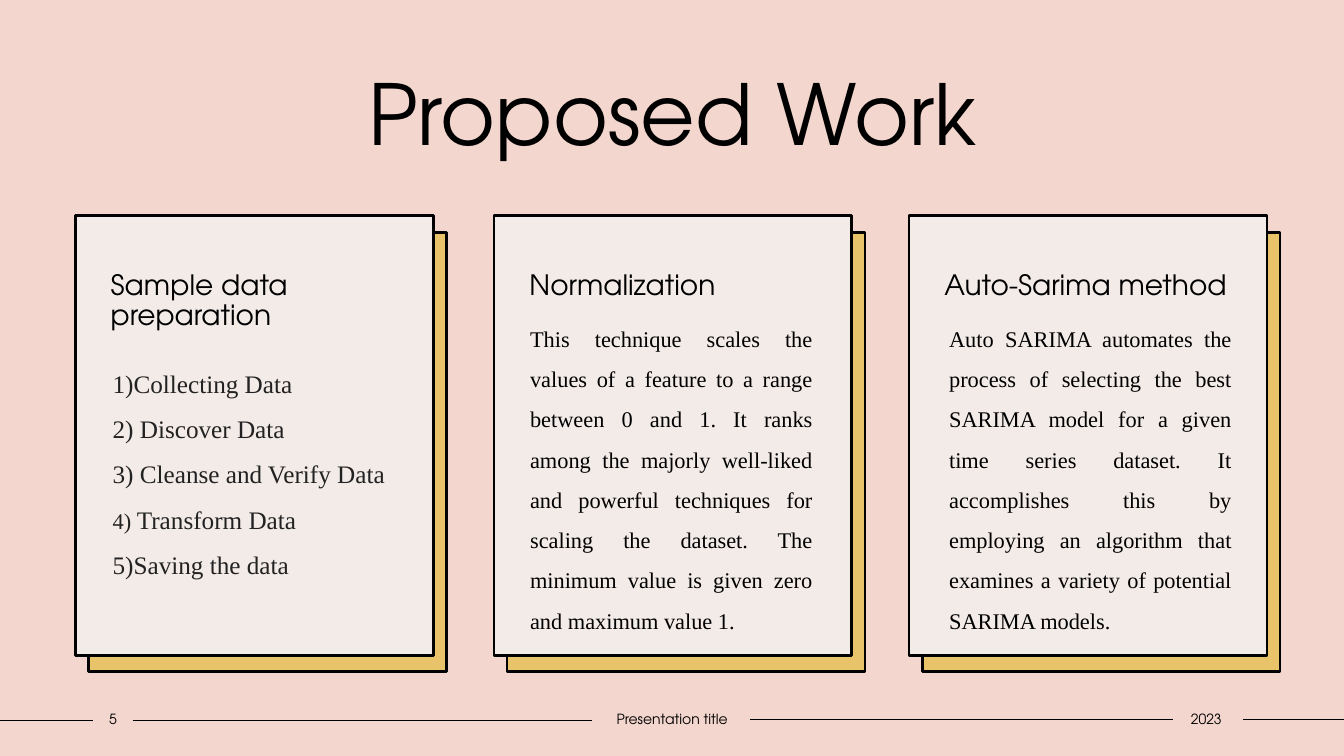
import pptx
import pptx.util
import pptx.dml.color
import pptx.enum.shapes
import pptx.enum.text
import pptx.oxml.ns
import lxml.etree

Cm, Pt = pptx.util.Cm, pptx.util.Pt
ALIGN = pptx.enum.text.PP_ALIGN
ANCHOR = pptx.enum.text.MSO_ANCHOR
SANS, SERIF = "TeX Gyre Adventor", "Times New Roman"
BLACK, INK = "000000", "222222"
PINK, CREAM, GOLD = "F3D6CD", "F3EBE8", "E9C369"
CARD_W, CARD_H = 9.02, 11.07
BODY_W, BODY_H = 7.62, 7.75

STEPS = [
    [("1)Collecting Data", 18)],
    [("2) Discover Data", 18)],
    [("3) Cleanse and Verify Data", 18), "break",
     ("4) ", 16), ("Transform Data", 18)],
    [("5)Saving the data", 18)],
]
NORMALIZATION = [[(
    "This technique scales the values of a feature to a range between 0 and 1. "
    "It ranks among the majorly well-liked and powerful techniques for scaling "
    "the dataset. The minimum value is given zero and maximum value 1. ", 16)]]
SARIMA = [[(
    "Auto SARIMA automates the process of selecting the best SARIMA model for a "
    "given time series dataset. It accomplishes this by employing an algorithm "
    "that examines a variety of potential SARIMA models.", 16)]]


def rgb(color):
    return pptx.dml.color.RGBColor.from_string(color)


def write(sp, paragraphs, font=SANS, color=BLACK, align=ALIGN.LEFT,
          anchor=ANCHOR.TOP, inset=(0.25, 0.13, 0.25, 0.13),
          spacing=1.0, before=0):
    tf = sp.text_frame
    tf.word_wrap = True
    tf.vertical_anchor = anchor
    tf.margin_left, tf.margin_top, tf.margin_right, tf.margin_bottom = map(Cm, inset)
    for i, parts in enumerate(paragraphs):
        p = tf.add_paragraph() if i else tf.paragraphs[0]
        p.alignment = align
        p.line_spacing = spacing
        p.space_before = Pt(before)
        for part in parts:
            if part == "break":
                p.add_line_break()
                continue
            r = p.add_run()
            r.text, size = part
            r.font.name = font
            r.font.size = Pt(size)
            r.font.color.rgb = rgb(color)


def add_text(s, x, y, w, h, paragraphs, **fmt):
    sp = s.shapes.add_textbox(Cm(x), Cm(y), Cm(w), Cm(h))
    write(sp, paragraphs, **fmt)


def add_panel(s, x, y, fill):
    sp = s.shapes.add_shape(pptx.enum.shapes.MSO_SHAPE.RECTANGLE,
                            Cm(x), Cm(y), Cm(CARD_W), Cm(CARD_H))
    sp.shadow.inherit = False
    sp.fill.solid()
    sp.fill.fore_color.rgb = rgb(fill)
    sp.line.color.rgb = rgb(BLACK)
    sp.line.width = Pt(2)
    return sp


def add_rule(s, x1, x2, y):
    line = s.shapes.add_connector(pptx.enum.shapes.MSO_CONNECTOR.STRAIGHT,
                                  Cm(x1), Cm(y), Cm(x2), Cm(y))
    line.line.color.rgb = rgb(BLACK)
    line.line.width = Pt(1)
    lxml.etree.SubElement(line._element.spPr, pptx.oxml.ns.qn("a:effectLst"))


def add_title(s, x, y, w, h):
    add_text(s, x, y, w, h, [[("Proposed Work", 60)]],
             align=ALIGN.CENTER, anchor=ANCHOR.MIDDLE)


def add_card(s, x, y, heading, body, dx, dy, **fmt):
    add_panel(s, x + 0.33, y + 0.41, GOLD)
    write(add_panel(s, x, y, CREAM), [[(heading, 20)]],
          inset=(0.89, 1.4, 0.25, 0.13), spacing=0.9, before=10)
    add_text(s, x + dx, y + dy, BODY_W, BODY_H, body,
             font=SERIF, spacing=1.5, **fmt)


def add_footer(s, y, h):
    for x1, x2, drop in [(0, 2.34, 0.38), (3.35, 14.91, 0.38),
                         (18.9, 29.57, 0.35), (31.32, 33.87, 0.35)]:
        add_rule(s, x1, x2, y + drop)
    for x, w, label in [(2.34, 1.02, "5"), (14.91, 4.06, "Presentation title"),
                        (29.51, 1.78, "2023")]:
        add_text(s, x, y, w, h, [[(label, 10)]], align=ALIGN.CENTER,
                 anchor=ANCHOR.MIDDLE, inset=(0, 0.13, 0, 0.13))


def main():
    prs = pptx.Presentation()
    prs.slide_width, prs.slide_height = Cm(33.87), Cm(19.05)
    s = prs.slides.add_slide(prs.slide_layouts[6])
    s.background.fill.solid()
    s.background.fill.fore_color.rgb = rgb(PINK)

    add_title(s, 3.18, 1.42, 27.53, 2.82)
    top = 5.44
    add_card(s, 1.9, top, "Sample data preparation", STEPS, 0.69, 3.32, color=INK)
    add_card(s, 12.45, top, "Normalization", NORMALIZATION, 0.66, 2.28,
             align=ALIGN.JUSTIFY)
    add_card(s, 22.91, top, "Auto-Sarima method", SARIMA, 0.76, 2.28,
             align=ALIGN.JUSTIFY)
    add_footer(s, 17.78, 0.69)
    prs.save("out.pptx")


if __name__ == "__main__":
    main()
